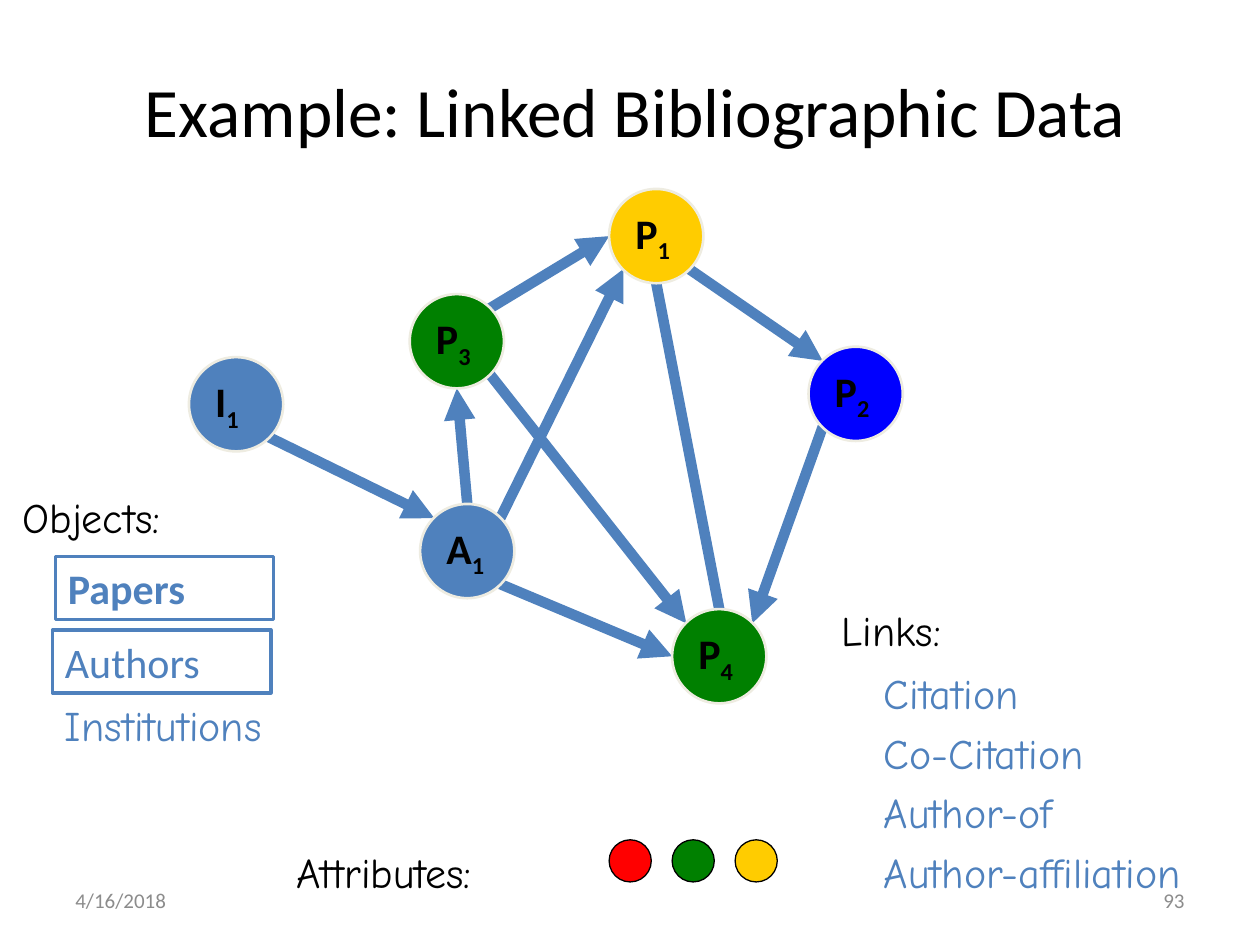
"""Build the slide on linked bibliographic data: a graph with its legends."""
import pptx
import pptx.chart.data
import pptx.dml.color
import pptx.enum.shapes
import pptx.enum.text
import pptx.oxml.ns
import pptx.util
from lxml import etree

Cm, Pt = pptx.util.Cm, pptx.util.Pt
KIND = pptx.enum.shapes.MSO_SHAPE
ALIGN = pptx.enum.text.PP_ALIGN
MID = pptx.enum.text.MSO_ANCHOR.MIDDLE
TOP = pptx.enum.text.MSO_ANCHOR.TOP
BLUE, BLACK, GRAY = "4F81BD", "000000", "8C8C8C"
SANS, HAND = "Calibri", "Comic Neue"


def color(code):
    return pptx.dml.color.RGBColor.from_string(code)


def write(shape, text, face, size, code, align=ALIGN.LEFT, anchor=TOP):
    frame = shape.text_frame
    frame.word_wrap = True
    frame.vertical_anchor = anchor
    par = frame.paragraphs[0]
    par.alignment = align
    par.add_run().text = text
    par.font.name, par.font.size = face, Pt(size)
    par.font.color.rgb = color(code)
    return par


deck = pptx.Presentation()
deck.slide_width, deck.slide_height = Cm(25.4), Cm(19.05)
slide = deck.slides.add_slide(deck.slide_layouts[6])
shapes = slide.shapes

# left, top, width, height, text, size, color, align
for left, top, wide, high, text, size, code, align in [
    (0.43, 1.27, 24.76, 1.9, "Example: Linked Bibliographic Data", 39.6, BLACK, ALIGN.CENTER),
    (1.27, 17.65, 5.93, 1.01, "4/16/2018", 12, GRAY, ALIGN.LEFT),
    (18.2, 17.65, 5.93, 1.01, "93", 12, GRAY, ALIGN.RIGHT),
]:
    box = shapes.add_textbox(Cm(left), Cm(top), Cm(wide), Cm(high))
    write(box, text, SANS, size, code, align, MID)

for left, top, wide, text, code in [
    (0.21, 9.79, 6.77, "Objects:", BLACK),
    (1.06, 13.97, 5.93, "Institutions", BLUE),
    (16.72, 12.07, 6.77, "Links:", BLACK),
    (17.57, 13.34, 4.4, "Citation", BLUE),
    (17.57, 14.54, 6.35, "Co-Citation", BLUE),
    (17.57, 15.73, 5.93, "Author-of", BLUE),
    (17.57, 16.93, 8.47, "Author-affiliation", BLUE),
    (5.72, 16.93, 6.77, "Attributes:", BLACK),
]:
    box = shapes.add_textbox(Cm(left), Cm(top), Cm(wide), Cm(1.27))
    write(box, text, HAND, 24, code)

for left, top, text, bold in [(1.12, 11.22, "Papers", True), (1.06, 12.7, "Authors", False)]:
    box = shapes.add_shape(KIND.RECTANGLE, Cm(left), Cm(top), Cm(4.4), Cm(1.27))
    box.shadow.inherit = False
    box.fill.solid()
    box.fill.fore_color.rgb = color("FFFFFF")
    box.line.color.rgb, box.line.width = color(BLUE), Pt(2)
    write(box, text, SANS, 24, BLUE).font.bold = bold

size = 1.9
nodes = {
    "A1": (8.47, 10.16, BLUE),
    "I1": (3.81, 7.2, BLUE),
    "P2": (16.3, 6.99, "0000FF"),
    "P4": (13.55, 12.28, "008000"),
    "P3": (8.26, 5.93, "008000"),
    "P1": (12.28, 3.81, "FFCC00"),
}
sides = {
    "n": (0.5, 0), "s": (0.5, 1), "w": (0, 0.5),
    "nw": (0.15, 0.15), "ne": (0.85, 0.15), "sw": (0.15, 0.85), "se": (0.85, 0.85),
}
for start, out, end, into in [
    ("P3", "se", "P4", "nw"),
    ("P2", "sw", "P4", "ne"),
    ("P3", "ne", "P1", "w"),
    ("P1", "se", "P2", "nw"),
    ("P4", "n", "P1", "s"),
    ("A1", "n", "P3", "s"),
    ("A1", "se", "P4", "w"),
    ("A1", "ne", "P1", "sw"),
    ("I1", "se", "A1", "nw"),
]:
    ends = [
        Cm(nodes[name][axis] + size * sides[side][axis])
        for name, side in ((start, out), (end, into))
        for axis in (0, 1)
    ]
    link = shapes.add_connector(pptx.enum.shapes.MSO_CONNECTOR.STRAIGHT, *ends)
    link.line.color.rgb, link.line.width = color(BLUE), Pt(6)
    if start != "P4":
        tail = etree.SubElement(link.line._get_or_add_ln(), pptx.oxml.ns.qn("a:tailEnd"))
        tail.set("type", "triangle")
    etree.SubElement(link._element.spPr, pptx.oxml.ns.qn("a:effectLst"))

dots = [(12.28 + 1.27 * i, 16.93, code) for i, code in enumerate(["FF0000", "008000", "FFCC00"])]
rounds = [("", *dot, 0.85, BLACK, 0.75) for dot in dots]
rounds += [(name, *node, size, "EEECE1", 1.5) for name, node in nodes.items()]
for name, left, top, code, wide, edge, width in rounds:
    disc = shapes.add_shape(KIND.OVAL, Cm(left), Cm(top), Cm(wide), Cm(wide))
    disc.shadow.inherit = False
    disc.fill.solid()
    disc.fill.fore_color.rgb = color(code)
    disc.line.color.rgb, disc.line.width = color(edge), Pt(width)
    if name:
        par = write(disc, name[0], SANS, 24, BLACK, anchor=MID)
        par.font.bold = True
        sub = par.add_run()
        sub.text = name[1]
        sub.font._element.set("baseline", "-25000")
        disc.text_frame.word_wrap = False

deck.save("out.pptx")
